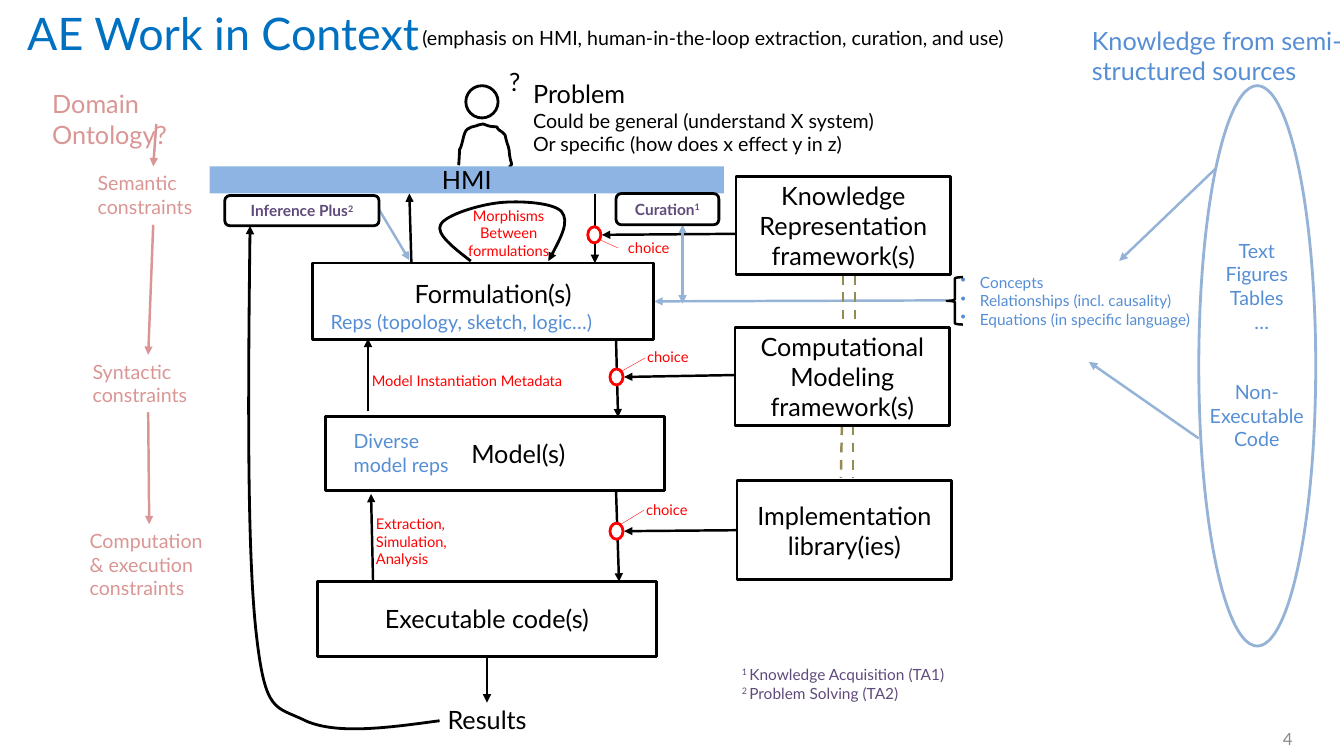
from lxml.etree import SubElement
from pptx import Presentation
from pptx.dml.color import RGBColor
from pptx.enum.dml import MSO_LINE
from pptx.enum.shapes import MSO_CONNECTOR, MSO_SHAPE
from pptx.enum.text import MSO_ANCHOR, MSO_AUTO_SIZE, PP_ALIGN
from pptx.oxml.ns import qn
from pptx.util import Inches, Pt

FONT = "Lato"
BLACK, WHITE, RED = "000000", "FFFFFF", "FF0000"
BLUE, PALE_BLUE, BAR_BLUE, TITLE_BLUE = "558ED5", "95B3D7", "8EB4E3", "0070C0"
ROSE, PURPLE, OLIVE, GRAY = "D99694", "604A7B", "948A54", "898989"
LEFT, CENTER, RIGHT = PP_ALIGN.LEFT, PP_ALIGN.CENTER, PP_ALIGN.RIGHT


def rgb(value):
    """Turn a hex string into a colour."""
    return RGBColor.from_string(value)


def format_para(para, size, color, align=LEFT, bold=False):
    """Set the font and alignment of one paragraph."""
    font = para.font
    font.name, font.size, font.bold = FONT, Pt(size), bold
    font.color.rgb = rgb(color)
    para.alignment = align


def add_span(para, text, raised=False):
    """Add a run, as a superscript if raised."""
    span = para.add_run()
    span.text = text
    if raised:
        span._r.get_or_add_rPr().set("baseline", "30000")


def add_text(page, at, lines, size, color, align=LEFT, wrap=True):
    """Add a text box with one paragraph per line and return its frame."""
    frame = page.shapes.add_textbox(*map(Inches, at)).text_frame
    frame.word_wrap = wrap
    frame.auto_size = MSO_AUTO_SIZE.SHAPE_TO_FIT_TEXT
    for index, line in enumerate(lines):
        para = frame.paragraphs[0] if index == 0 else frame.add_paragraph()
        if line:
            add_span(para, line)
        format_para(para, size, color, align)
    return frame


def add_box(page, kind, at, line=BLACK, fill=WHITE, width=2):
    """Add a preset shape with a flat fill and outline."""
    box = page.shapes.add_shape(kind, *map(Inches, at))
    box.shadow.inherit = False
    if fill:
        box.fill.solid()
        box.fill.fore_color.rgb = rgb(fill)
    else:
        box.fill.background()
    if line:
        box.line.color.rgb = rgb(line)
        box.line.width = Pt(width)
    else:
        box.line.fill.background()
    return box


def add_label_box(page, kind, at, text, size=18, color=BLACK, note="", **style):
    """Add a shape with a centred label and an optional note mark."""
    box = add_box(page, kind, at, **style)
    frame = box.text_frame
    frame.vertical_anchor = MSO_ANCHOR.MIDDLE
    para = frame.paragraphs[0]
    add_span(para, text)
    if note:
        add_span(para, note, raised=True)
    format_para(para, size, color, CENTER, bold=bool(note))
    return frame


def add_arrowheads(shape, ends):
    """Put triangle heads on the named line ends."""
    outline = shape._element.spPr.find(qn("a:ln"))
    for end in ends:
        SubElement(outline, qn(f"a:{end}"), type="triangle")


def add_line(page, points, color=BLACK, width=1.75, ends=("tailEnd",), dashed=False):
    """Add a straight connector given as x1, y1, x2, y2."""
    line = page.shapes.add_connector(MSO_CONNECTOR.STRAIGHT, *map(Inches, points))
    line.line.color.rgb = rgb(color)
    line.line.width = Pt(width)
    if dashed:
        line.line.dash_style = MSO_LINE.DASH
    SubElement(line._element.spPr, qn("a:effectLst"))
    add_arrowheads(line, ends)


def add_curve(page, start, curves, ends=()):
    """Add an open outline of cubic curves, each two controls and an end."""
    builder = page.shapes.build_freeform(*map(Inches, start))
    builder.add_line_segments([tuple(map(Inches, c[4:])) for c in curves], close=False)
    curve = builder.convert_to_shape()
    segments = list(curve._element.iter(qn("a:lnTo")))
    for segment, numbers in zip(segments, curves):
        bend = segment.makeelement(qn("a:cubicBezTo"), {})
        for x, y in zip(numbers[::2], numbers[1::2]):
            SubElement(bend, qn("a:pt"), x=str(Inches(x) - curve.left),
                       y=str(Inches(y) - curve.top))
        segment.getparent().replace(segment, bend)
    curve.shadow.inherit = False
    curve.fill.background()
    curve.line.color.rgb = rgb(BLACK)
    curve.line.width = Pt(2)
    add_arrowheads(curve, ends)


def add_title(page):
    """Place the title, its subtitle and the page number."""
    title = page.shapes.title
    title.left, title.top, title.width, title.height = map(Inches, (0.17, 0.04, 4.17, 0.57))
    title.text_frame.text = "AE Work in Context"
    title.text_frame.vertical_anchor = MSO_ANCHOR.MIDDLE
    format_para(title.text_frame.paragraphs[0], 32, TITLE_BLUE)
    add_text(page, (4.09, 0.21, 6.18, 0.34),
             ["(emphasis on HMI, human-in-the-loop extraction, curation, and use)"],
             14, BLACK, wrap=False)
    add_text(page, (11.81, 7.18, 1.11, 0.3), ["4"], 12, GRAY, RIGHT)


def add_problem(page):
    """Draw the person and the problem statement."""
    add_box(page, MSO_SHAPE.OVAL, (4.62, 0.85, 0.32, 0.32))
    add_curve(page, (4.55, 1.64), [
        (4.57, 1.34, 4.54, 1.61, 4.6, 1.35), (4.61, 1.33, 4.61, 1.3, 4.64, 1.28),
        (4.66, 1.26, 4.69, 1.26, 4.72, 1.25), (4.82, 1.22, 4.66, 1.26, 4.79, 1.23),
        (4.88, 1.26, 4.83, 1.25, 4.93, 1.26), (4.93, 1.27, 4.94, 1.28, 4.95, 1.29),
        (4.96, 1.3, 4.97, 1.3, 4.98, 1.31), (4.99, 1.32, 5, 1.33, 5.01, 1.34),
        (5.04, 1.47, 5, 1.31, 5.03, 1.42), (5.06, 1.51, 5.03, 1.41, 5.05, 1.49),
        (5.06, 1.65, 5.1, 1.61, 5.05, 1.66)])
    add_text(page, (4.95, 0.61, 0.32, 0.4), ["?"], 18, BLACK, wrap=False)
    problem = add_text(page, (5.19, 0.73, 4.1, 0.88),
                       ["Problem", "Could be general (understand X system)",
                        "Or specific (how does x effect y in z)"], 14, BLACK)
    problem.paragraphs[0].font.size = Pt(18)


def add_stages(page):
    """Draw the chain from interface to results and the frameworks beside it."""
    rect, rounded = MSO_SHAPE.RECTANGLE, MSO_SHAPE.ROUNDED_RECTANGLE
    formulation = add_label_box(page, rect, (3.1, 2.61, 3.38, 0.76), "Formulation(s)")
    formulation.margin_left, formulation.margin_bottom = Inches(0.3), Inches(0.2)
    model = add_label_box(page, rect, (3.23, 4.13, 3.36, 0.74), "Model(s)")
    model.margin_left = Inches(0.56)
    add_label_box(page, rect, (3.15, 5.77, 3.36, 0.74), "Executable code(s)")
    for left, top, height, name in [
            (7.3, 1.75, 0.97, "Knowledge Representation framework(s)"),
            (7.29, 3.25, 0.97, "Computational Modeling framework(s)"),
            (7.31, 4.77, 0.98, "Implementation library(ies)")]:
        add_label_box(page, rect, (left, top, 2.13, height), name)
    add_label_box(page, rect, (2.08, 1.65, 5.1, 0.27), "HMI", fill=BAR_BLUE, line=None)
    add_label_box(page, rounded, (2.23, 1.94, 1.53, 0.3), "Inference Plus", 11, PURPLE, "2")
    add_label_box(page, rounded, (6.11, 1.92, 1.02, 0.31), "Curation", 11, PURPLE, "1")
    add_text(page, (4.34, 6.94, 0.99, 0.4), ["Results"], 18, BLACK, wrap=False)
    add_text(page, (3.41, 4.21, 1.23, 0.57), ["Diverse model reps"], 14, BLUE)
    add_text(page, (3.18, 3.03, 3.92, 0.34), ["Reps (topology, sketch, logic…)"], 14, BLUE)


def add_flows(page):
    """Draw the arrows, the choice points and their labels."""
    for points in [(6.11, 3.37, 6.13, 4.14), (6.11, 4.87, 6.14, 5.77),
                   (7.34, 3.72, 6.19, 3.74), (7.31, 5.26, 6.19, 5.27),
                   (4.83, 6.51, 4.83, 6.97), (3.7, 5.77, 3.68, 4.9),
                   (3.65, 4.08, 3.65, 3.36), (7.3, 2.32, 5.97, 2.33),
                   (5.9, 1.92, 5.9, 2.61), (4.08, 2.6, 4.06, 1.92)]:
        add_line(page, points)
    add_line(page, (6.77, 2.23, 6.77, 3.01), PALE_BLUE, ends=("headEnd", "tailEnd"))
    for points in [(9.39, 2.98, 6.49, 2.99), (3.76, 2.08, 4.06, 2.58)]:
        add_line(page, points, PALE_BLUE)
    for x, top in [(8.36, 2.73), (8.48, 2.73)]:
        add_line(page, (x, top, x, top + 0.52), OLIVE, ends=(), dashed=True)
    for x, foot in [(8.35, 8.34), (8.46, 8.46)]:
        add_line(page, (x, 4.22, foot, 4.74), OLIVE, ends=(), dashed=True)
    for left, top, leader, label in [
            (5.83, 2.25, (5.95, 2.38, 6.13, 2.46), (6.13, 2.32)),
            (6.05, 3.66, (6.17, 3.68, 6.4, 3.55), (6.32, 3.4)),
            (6.05, 5.19, (6.16, 5.2, 6.39, 5.06), (6.31, 4.92))]:
        add_box(page, MSO_SHAPE.OVAL, (left, top, 0.13, 0.16), RED)
        add_line(page, leader, RED, 0.25, ends=())
        add_text(page, (*label, 0.63, 0.29), ["choice"], 10.5, RED, wrap=False)
    add_curve(page, (5.44, 2.59), [
        (5.54, 2.4, 5.65, 2.2, 5.57, 2.1), (5.49, 2.01, 5.16, 1.99, 4.96, 2.01),
        (4.76, 2.03, 4.42, 2.13, 4.37, 2.23), (4.32, 2.32, 4.5, 2.46, 4.67, 2.59)],
        ends=("headEnd",))
    add_curve(page, (4.36, 7.15), [
        (3.85, 7.22, 3.34, 7.29, 3.03, 7.15), (2.73, 7, 2.63, 7.09, 2.54, 6.27),
        (2.45, 5.45, 2.46, 3.85, 2.48, 2.24)], ends=("tailEnd",))
    add_text(page, (4.4, 2, 1.29, 0.65), ["Morphisms", "Between", "formulations"],
             10.5, RED, CENTER)
    add_text(page, (3.63, 5.06, 0.92, 0.63), ["Extraction,", "Simulation,", "Analysis"],
             10.5, RED, wrap=False)
    add_text(page, (3.59, 3.64, 2.1, 0.28), ["Model Instantiation Metadata"],
             10.5, RED, wrap=False)


def add_constraints(page):
    """Draw the ontology column on the left."""
    for at, name, size in [((0.42, 0.83, 1.6, 0.71), "Domain Ontology?", 18),
                           ((0.87, 1.65, 1.3, 0.57), "Semantic constraints", 14),
                           ((0.82, 3.52, 1.3, 0.57), "Syntactic constraints", 14),
                           ((0.79, 5.2, 1.39, 0.81), "Computation & execution constraints", 14)]:
        add_text(page, at, [name], size, ROSE)
    for points in [(1.55, 1.23, 1.52, 1.65), (1.52, 2.23, 1.47, 3.52), (1.47, 4.09, 1.48, 5.2)]:
        add_line(page, points, ROSE)


def add_sources(page):
    """Draw the sources on the right, what they yield, and the footnotes."""
    add_box(page, MSO_SHAPE.OVAL, (11.89, 0.85, 1.16, 5.56), PALE_BLUE)
    for points in [(12.06, 1.67, 11.1, 2.59), (11.89, 4.35, 10.8, 3.59)]:
        add_line(page, points, PALE_BLUE)
    add_text(page, (10.73, 0.2, 2.68, 0.71), ["Knowledge from semi-structured sources"], 18, BLUE)
    kinds = add_text(page, (11.87, 2.32, 1.19, 2.22),
                     ["Text", "Figures", "Tables", "…", "Non-Executable Code"], 14, BLUE, CENTER)
    kinds.paragraphs[3]._p.get_or_add_pPr().set("marL", str(Inches(0.1)))
    kinds.paragraphs[4].space_before = Pt(33.6)
    yields = add_text(page, (9.43, 2.66, 2.56, 0.66),
                      ["Concepts", "Relationships (incl. causality)",
                       "Equations (in specific language)"], 11, BLUE, wrap=False)
    for para in yields.paragraphs:
        props = para._p.get_or_add_pPr()
        props.set("marL", str(Inches(0.19)))
        props.set("indent", str(-Inches(0.19)))
        bullet = props.makeelement(qn("a:buChar"), {"char": "•"})
        props.find(qn("a:defRPr")).addprevious(bullet)
    add_box(page, MSO_SHAPE.LEFT_BRACE, (9.39, 2.75, 0.16, 0.47), fill=None, width=1.75)
    notes = add_text(page, (7.26, 6.55, 2.33, 0.47), ["", ""], 11, PURPLE)
    names = ["Knowledge Acquisition (TA1)", "Problem Solving (TA2)"]
    for number, (para, name) in enumerate(zip(notes.paragraphs, names), 1):
        add_span(para, f"{number} ", raised=True)
        add_span(para, name)


def main():
    """Build the slide and save it."""
    deck = Presentation()
    deck.slide_width, deck.slide_height = Inches(13.33), Inches(7.5)
    page = deck.slides.add_slide(deck.slide_layouts[5])
    for add_part in (add_title, add_problem, add_flows, add_stages, add_constraints, add_sources):
        add_part(page)
    deck.save("out.pptx")


if __name__ == "__main__":
    main()
